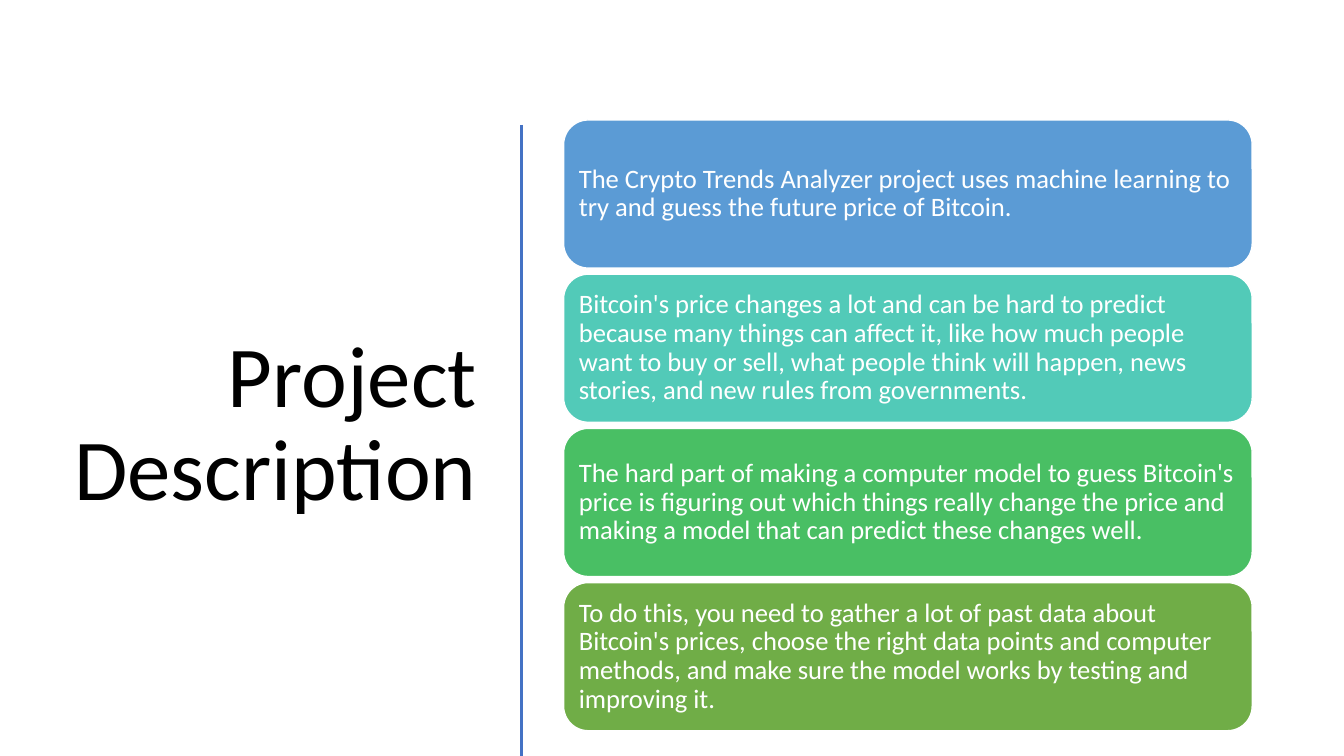
import pptx
import pptx.util
import pptx.dml.color
import pptx.enum.shapes
import pptx.enum.text
import pptx.oxml

RGB = pptx.dml.color.RGBColor
ALIGN = pptx.enum.text.PP_ALIGN
Inches = pptx.util.Inches

BLACK = RGB(0x00, 0x00, 0x00)
WHITE = RGB(0xFF, 0xFF, 0xFF)
RULE_BLUE = RGB(0x44, 0x72, 0xC4)

# Content
TITLE = "Project Description"
CARDS = [
    ("The Crypto Trends Analyzer project uses machine learning to try and guess "
     "the future price of Bitcoin.", RGB(0x5B, 0x9B, 0xD5)),
    ("Bitcoin's price changes a lot and can be hard to predict because many things "
     "can affect it, like how much people want to buy or sell, what people think "
     "will happen, news stories, and new rules from governments.",
     RGB(0x52, 0xCA, 0xB8)),
    ("The hard part of making a computer model to guess Bitcoin's price is figuring "
     "out which things really change the price and making a model that can predict "
     "these changes well.", RGB(0x49, 0xBF, 0x64)),
    ("To do this, you need to gather a lot of past data about Bitcoin's prices, "
     "choose the right data points and computer methods, and make sure the model "
     "works by testing and improving it.", RGB(0x70, 0xAD, 0x47)),
]

# Layout, in inches
SLIDE_W, SLIDE_H = 13.33, 7.5
TITLE_BOX = (0.52, 1.17, 4.31, 6.11)
RULE_X, RULE_TOP = 5.17, 1.24
CARD_X, CARD_TOP, CARD_W, CARD_H = 5.59, 1.19, 6.83, 1.47
CARD_PITCH = 1.53


def set_text(sp, text, size, color, align=ALIGN.LEFT, inset=0.1):
    tf = sp.text_frame
    tf.word_wrap = True
    tf.vertical_anchor = pptx.enum.text.MSO_ANCHOR.MIDDLE
    tf.margin_left = tf.margin_right = Inches(inset)
    tf.margin_top = tf.margin_bottom = Inches(inset)
    p = tf.paragraphs[0]
    p.alignment = align
    p.line_spacing = 0.9
    r = p.add_run()
    r.text = text
    r.font.name = "Calibri"
    r.font.size = pptx.util.Pt(size)
    r.font.color.rgb = color


prs = pptx.Presentation()
prs.slide_width, prs.slide_height = Inches(SLIDE_W), Inches(SLIDE_H)
s = prs.slides.add_slide(prs.slide_layouts[6])

# Title
title = s.shapes.add_textbox(*map(Inches, TITLE_BOX))
set_text(title, TITLE, 62, BLACK, align=ALIGN.RIGHT)

# Vertical rule
rule = s.shapes.add_connector(
    pptx.enum.shapes.MSO_CONNECTOR.STRAIGHT,
    *map(Inches, (RULE_X, RULE_TOP, RULE_X, SLIDE_H)))
rule.line.color.rgb = RULE_BLUE
rule.line.width = pptx.util.Pt(2)
rule._element.spPr.append(pptx.oxml.parse_xml(
    '<a:effectLst xmlns:a="http://schemas.openxmlformats.org/drawingml/2006/main"/>'))

# Stacked cards
for i, (text, fill) in enumerate(CARDS):
    card = s.shapes.add_shape(
        pptx.enum.shapes.MSO_SHAPE.ROUNDED_RECTANGLE,
        *map(Inches, (CARD_X, CARD_TOP + i * CARD_PITCH, CARD_W, CARD_H)))
    card.shadow.inherit = False
    card.fill.solid()
    card.fill.fore_color.rgb = fill
    card.line.color.rgb = WHITE
    card.line.width = pptx.util.Pt(1)
    set_text(card, text, 19, WHITE, inset=0.08)

prs.save("out.pptx")
